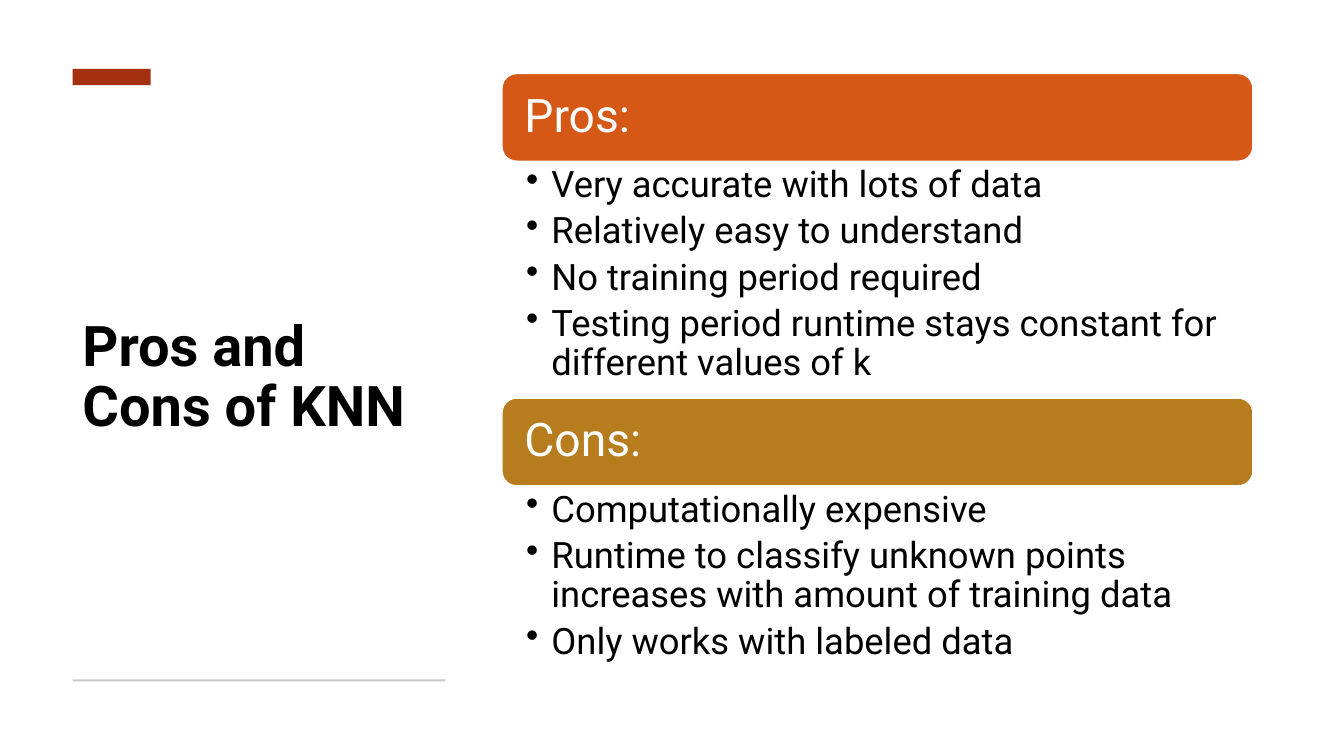
from lxml.etree import SubElement
from pptx import Presentation
from pptx.dml.color import RGBColor
from pptx.enum.shapes import MSO_SHAPE as Shape
from pptx.enum.text import MSO_ANCHOR as Anchor, PP_ALIGN as Align
from pptx.oxml.ns import qn
from pptx.util import Pt

THEME = {
    "font": "Roboto",
    "text": RGBColor.from_string("000000"),
    "white": RGBColor.from_string("FFFFFF"),
    "accent": RGBColor.from_string("A5300F"),
    "rule": RGBColor.from_string("C9C9C9"),
    "pros": RGBColor.from_string("D55816"),
    "cons": RGBColor.from_string("B77C1E"),
    "title_size": Pt(40),
    "heading_size": Pt(33),
    "bullet_size": Pt(26),
}

SECTIONS = [
    ("Pros:", "pros", 169.2, [
        "Very accurate with lots of data",
        "Relatively easy to understand",
        "No training period required",
        "Testing period runtime stays constant for different values of k",
    ]),
    ("Cons:", "cons", 134.64, [
        "Computationally expensive",
        "Runtime to classify unknown points increases with amount of training data",
        "Only works with labeled data",
    ]),
]


def add_block(kind, box, fill):
    shape = slide.shapes.add_shape(kind, *map(Pt, box))
    shape.shadow.inherit = False
    shape.fill.solid()
    shape.fill.fore_color.rgb = THEME[fill]
    shape.line.fill.background()
    return shape


def write_lines(shape, lines, size, color, frame_format, bold=False, bullets=False):
    frame = shape.text_frame
    for name, value in {"word_wrap": True, **frame_format}.items():
        setattr(frame, name, value)
    for index, line in enumerate(lines):
        paragraph = frame.add_paragraph() if index else frame.paragraphs[0]
        paragraph.text = line
        paragraph.alignment = Align.LEFT
        paragraph.line_spacing = 0.9
        if bullets:
            paragraph.space_after = Pt(5)
            properties = paragraph._p.get_or_add_pPr()
            properties.set("marL", str(Pt(18)))
            properties.set("indent", str(-Pt(18)))
            SubElement(properties, qn("a:buChar"), char="•")
        font_format = {"name": THEME["font"], "size": THEME[size], "bold": bold}
        for name, value in font_format.items():
            setattr(paragraph.font, name, value)
        paragraph.font.color.rgb = THEME[color]


presentation = Presentation()
presentation.slide_width = Pt(960)
presentation.slide_height = Pt(540)
slide = presentation.slides.add_slide(presentation.slide_layouts[6])

title_left, title_width = 51.84, 266.4
title = slide.shapes.add_textbox(Pt(title_left), Pt(75.6), Pt(title_width), Pt(389.52))
write_lines(title, ["Pros and Cons of KNN"], "title_size", "text",
            {"vertical_anchor": Anchor.MIDDLE}, bold=True)

add_block(Shape.RECTANGLE, (title_left, 49.3, 55.8, 11.52), "accent")
add_block(Shape.RECTANGLE, (title_left, 485.28, title_width, 1.44), "rule")

section_left, section_width, heading_height = 358.56, 536.4, 62.64
top = 52.56
for heading, color, body_height, points in SECTIONS:
    banner = add_block(Shape.ROUNDED_RECTANGLE,
                       (section_left, top, section_width, heading_height), color)
    banner.line.color.rgb = THEME["white"]
    banner.line.width = Pt(1)
    write_lines(banner, [heading], "heading_size", "white",
                {"vertical_anchor": Anchor.MIDDLE, "margin_left": Pt(13)})
    top += heading_height
    body = slide.shapes.add_textbox(Pt(section_left), Pt(top), Pt(section_width), Pt(body_height))
    write_lines(body, points, "bullet_size", "text",
                {"margin_left": Pt(17.28), "margin_right": Pt(18.72)}, bullets=True)
    top += body_height

presentation.save("out.pptx")
